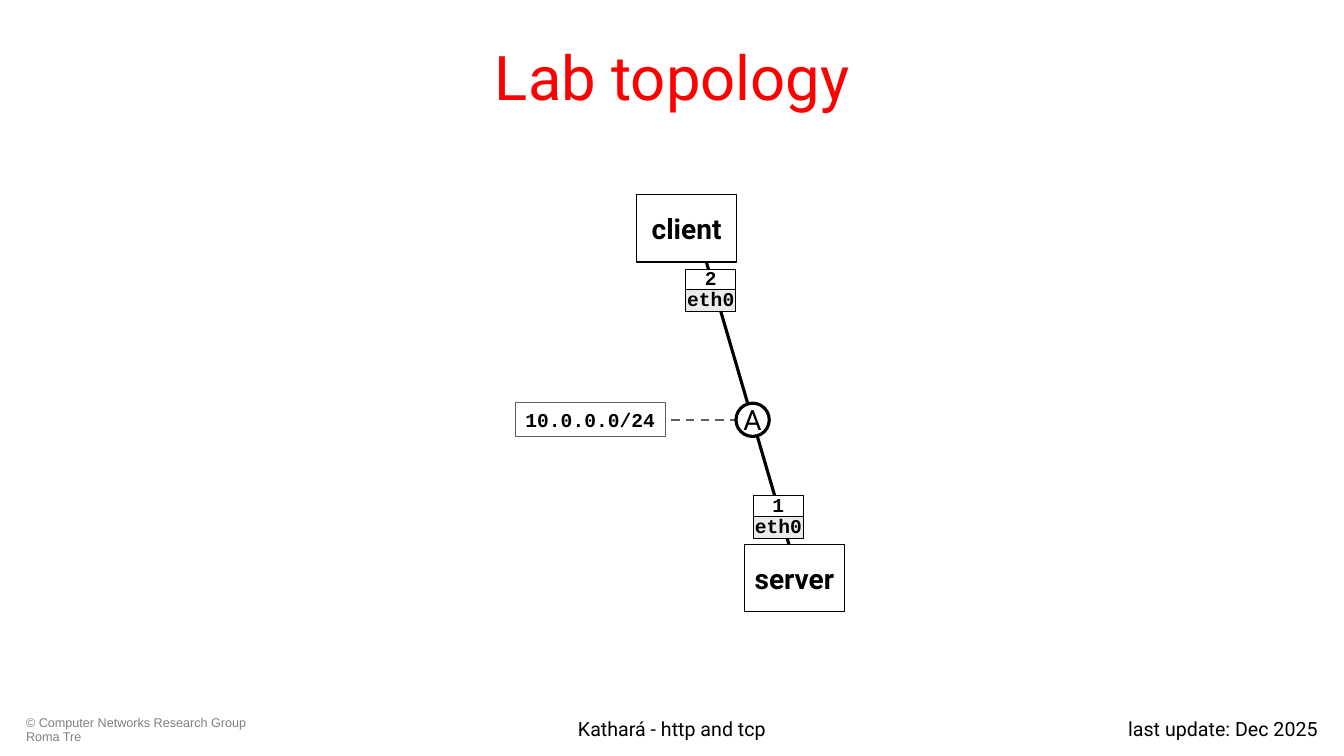
"""Build the lab topology slide: a client and a server joined by network A."""
from pptx import Presentation
from pptx.dml.color import RGBColor
from pptx.enum.dml import MSO_LINE
from pptx.enum.shapes import MSO_CONNECTOR, MSO_SHAPE
from pptx.enum.text import MSO_ANCHOR, PP_ALIGN
from pptx.oxml.ns import qn
from pptx.util import Pt
from lxml.etree import SubElement

PX = 9144
BLACK = RGBColor(0x00, 0x00, 0x00)
WHITE = RGBColor(0xFF, 0xFF, 0xFF)
RED = RGBColor(0xFF, 0x00, 0x00)
GREY = RGBColor(0x80, 0x80, 0x80)
DARK_GREY = RGBColor(0x5F, 0x5F, 0x5F)
LIGHT_GREY = RGBColor(0xEA, 0xEA, 0xEA)


def write(frame, text, font, size, color=BLACK, bold=False,
          align=PP_ALIGN.CENTER, spacing=None):
    paragraph = frame.paragraphs[0]
    paragraph.alignment = align
    paragraph.line_spacing = spacing
    run = paragraph.add_run()
    run.text = text
    run.font.name = font
    run.font.size = Pt(size)
    run.font.bold = bold
    run.font.color.rgb = color


def add_node(kind, box, text, font, size, bold=True, fill=WHITE,
             outline=BLACK, weight=0.75, spacing=None):
    node = slide.shapes.add_shape(kind, *[n * PX for n in box])
    node.shadow.inherit = False
    node.fill.solid()
    node.fill.fore_color.rgb = fill
    node.line.color.rgb = outline
    node.line.width = Pt(weight)
    frame = node.text_frame
    frame.word_wrap = False
    frame.vertical_anchor = MSO_ANCHOR.MIDDLE
    frame.margin_left = frame.margin_right = 0
    frame.margin_top = frame.margin_bottom = 0
    write(frame, text, font, size, bold=bold, spacing=spacing)


deck = Presentation()
deck.slide_width, deck.slide_height = 1333 * PX, 750 * PX
slide = deck.slides.add_slide(deck.slide_layouts[5])

title = slide.shapes.title
title.left, title.top, title.width, title.height = 67 * PX, 13 * PX, 1200 * PX, 125 * PX
title.text_frame.vertical_anchor = MSO_ANCHOR.MIDDLE
write(title.text_frame, "Lab topology", "Roboto", 44, RED)

footers = [
    (16, 249, "© Computer Networks Research Group Roma Tre", "Arial", 9, GREY, PP_ALIGN.LEFT, 0.9),
    (341, 651, "Kathará - http and tcp", "Roboto", 14, BLACK, PP_ALIGN.CENTER, None),
    (1013, 304, "last update: Dec 2025", "Roboto", 14, BLACK, PP_ALIGN.RIGHT, None),
]
for left, width, text, font, size, color, align, spacing in footers:
    footer = slide.shapes.add_textbox(left * PX, 706 * PX, width * PX, 36 * PX)
    footer.text_frame.word_wrap = True
    write(footer.text_frame, text, font, size, color, align=align, spacing=spacing)

links = [
    ((788, 559, 688, 217), BLACK, 2.25, MSO_LINE.SOLID),
    ((747, 417, 630, 417), DARK_GREY, 1.5, MSO_LINE.DASH),
]
for ends, color, weight, dash in links:
    link = slide.shapes.add_connector(MSO_CONNECTOR.STRAIGHT, *[n * PX for n in ends])
    link.line.color.rgb = color
    link.line.width = Pt(weight)
    link.line.dash_style = dash
    SubElement(link._element.spPr, qn("a:effectLst"))

for left, top, host_number in [(747, 492, "1"), (680, 267, "2")]:
    add_node(MSO_SHAPE.RECTANGLE, (left, top + 20, 50, 22), "eth0", "Courier New", 14,
             fill=LIGHT_GREY, spacing=0.9)
    add_node(MSO_SHAPE.RECTANGLE, (left, top, 50, 20), host_number, "Courier New", 14,
             spacing=0.9)

add_node(MSO_SHAPE.OVAL, (730, 400, 33, 33), "A", "Roboto", 20, bold=False, weight=2.25)
add_node(MSO_SHAPE.RECTANGLE, (511, 399, 149, 34), "10.0.0.0/24", "Courier New", 14,
         outline=DARK_GREY)
for left, top, host in [(631, 193, "client"), (738, 540, "server")]:
    add_node(MSO_SHAPE.RECTANGLE, (left, top, 100, 67), host, "Roboto", 20)

deck.save("out.pptx")
